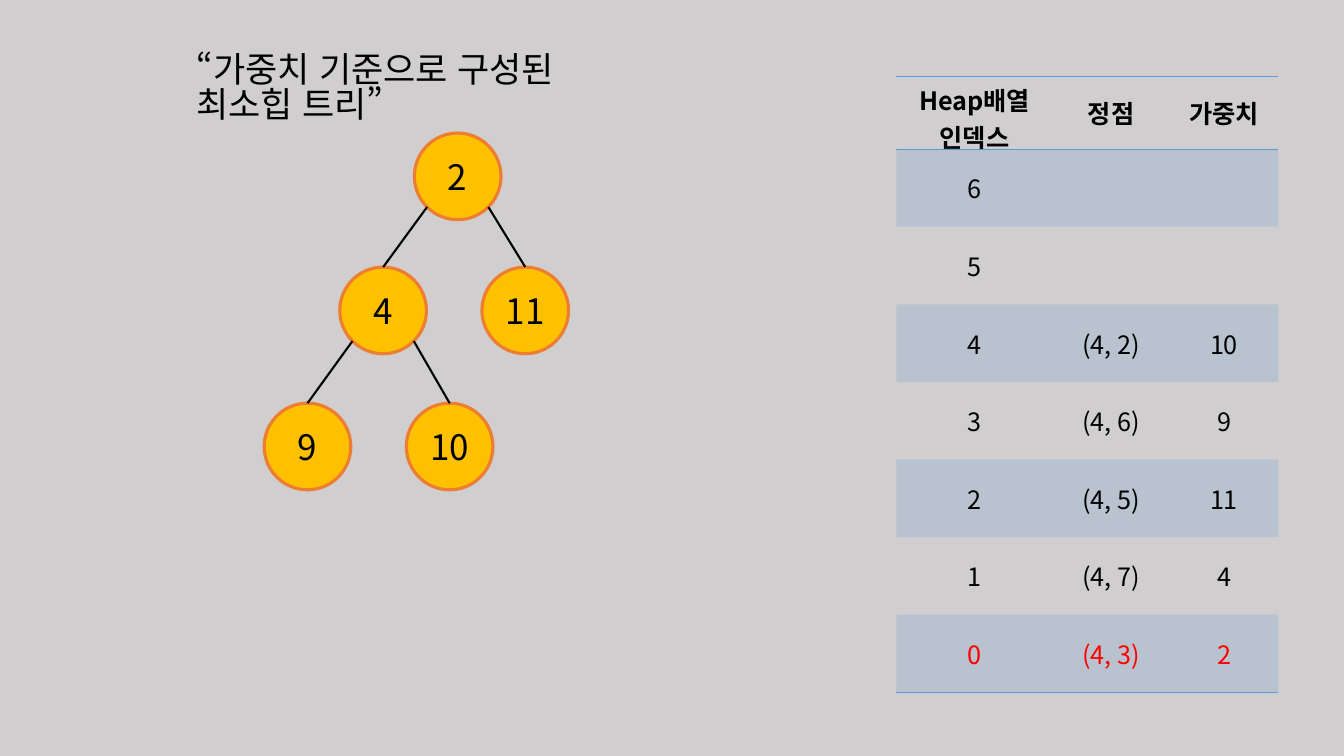
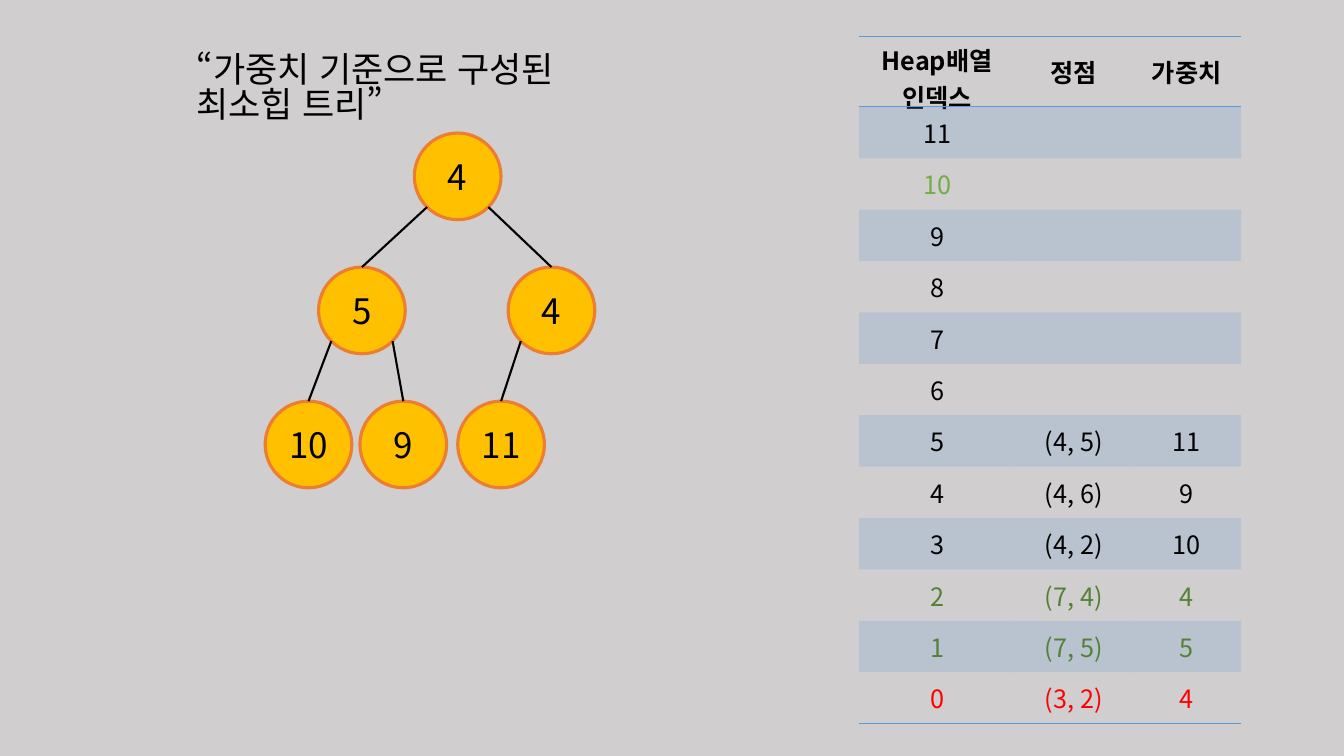
from math import sqrt

from lxml.etree import SubElement
from pptx import Presentation
from pptx.dml.color import RGBColor
from pptx.enum.lang import MSO_LANGUAGE_ID
from pptx.enum.shapes import MSO_CONNECTOR, MSO_SHAPE
from pptx.enum.text import MSO_ANCHOR, PP_ALIGN
from pptx.oxml.ns import qn
from pptx.util import Inches, Pt

# Content
TITLE = "“가중치 기준으로 구성된 최소힙 트리”"
HEADER = ["Heap배열\n인덱스", "정점", "가중치"]
BLACK, RED, GREEN, DARK_GREEN = "000000", "FF0000", "70AD47", "548235"

# Nodes: label, left, top, parent index. Rows: three cells, text colour.
HEAPS = [
    {
        "nodes": [
            ("2", 4.11, 1.32, None),
            ("4", 3.37, 2.65, 0),
            ("11", 4.78, 2.65, 0),
            ("9", 2.62, 4.0, 1),
            ("10", 4.03, 4.0, 1),
        ],
        "table_at": (8.89, 0.76),
        "row_heights": (0.72, 0.77),
        "last_row_filled": True,
        "rows": [
            ("6", "", "", BLACK),
            ("5", "", "", BLACK),
            ("4", "(4, 2)", "10", BLACK),
            ("3", "(4, 6)", "9", BLACK),
            ("2", "(4, 5)", "11", BLACK),
            ("1", "(4, 7)", "4", BLACK),
            ("0", "(4, 3)", "2", RED),
        ],
    },
    {
        "nodes": [
            ("4", 4.11, 1.32, None),
            ("5", 3.16, 2.65, 0),
            ("4", 5.04, 2.65, 0),
            ("10", 2.63, 3.98, 1),
            ("9", 3.57, 3.98, 1),
            ("11", 4.54, 3.98, 2),
        ],
        "table_at": (8.52, 0.36),
        "row_heights": (0.66, 0.51),
        "last_row_filled": False,
        "rows": [
            ("11", "", "", BLACK),
            ("10", "", "", GREEN),
            ("9", "", "", BLACK),
            ("8", "", "", BLACK),
            ("7", "", "", BLACK),
            ("6", "", "", BLACK),
            ("5", "(4, 5)", "11", BLACK),
            ("4", "(4, 6)", "9", BLACK),
            ("3", "(4, 2)", "10", BLACK),
            ("2", "(7, 4)", "4", DARK_GREEN),
            ("1", "(7, 5)", "5", DARK_GREEN),
            ("0", "(3, 2)", "4", RED),
        ],
    },
]

# Shared style
FONT = "Noto Sans CJK KR"
BACKGROUND, ACCENT = "D0CECE", "5B9BD5"
NODE_FILL, NODE_LINE = "FFC000", "ED7D31"
NODE_SIZE = 0.86
COLUMN_WIDTHS = (1.55, 1.16, 1.08)
NO_TABLE_STYLE = "{2D5ABB26-0587-4C30-8999-92F81FD0307C}"


def color(hex_string):
    return RGBColor.from_string(hex_string)


def add_span(para, text, size, hex_string=BLACK, bold=False):
    span = para.add_run()
    span.text = text
    font = span.font
    font.name, font.size, font.bold = FONT, Pt(size), bold
    font.color.rgb = color(hex_string)
    font.language_id = MSO_LANGUAGE_ID.KOREAN
    SubElement(font._element, qn("a:ea"), typeface=FONT)


def add_title(page):
    box = page.shapes.add_textbox(Inches(1.85), Inches(0.49), Inches(4.76), Inches(0.52))
    box.text_frame.word_wrap = True
    para = box.text_frame.paragraphs[0]
    para.line_spacing = 0.83
    add_span(para, TITLE, 25)


def add_node(page, label, left, top):
    node = page.shapes.add_shape(
        MSO_SHAPE.OVAL, Inches(left), Inches(top), Inches(NODE_SIZE), Inches(NODE_SIZE))
    node.shadow.inherit = False
    node.fill.solid()
    node.fill.fore_color.rgb = color(NODE_FILL)
    node.line.color.rgb = color(NODE_LINE)
    node.line.width = Pt(2.25)
    node.text_frame.vertical_anchor = MSO_ANCHOR.MIDDLE
    para = node.text_frame.paragraphs[0]
    para.alignment = PP_ALIGN.CENTER
    add_span(para, label, 25)


def add_edge(page, parent, child):
    """Join the parent's lower diagonal point to the top of the child."""
    radius = NODE_SIZE / 2
    diagonal = radius / sqrt(2)
    side = 1 if child[1] > parent[1] else -1
    start_x = parent[1] + radius + side * diagonal
    start_y = parent[2] + radius + diagonal
    edge = page.shapes.add_connector(
        MSO_CONNECTOR.STRAIGHT, Inches(start_x), Inches(start_y),
        Inches(child[1] + radius), Inches(child[2]))
    edge.line.color.rgb = color(BLACK)
    edge.line.width = Pt(1.5)
    SubElement(edge._element.spPr, qn("a:effectLst"))


def add_tree(page, nodes):
    for node in nodes:
        label, left, top, parent = node
        add_node(page, label, left, top)
        if parent is not None:
            add_edge(page, nodes[parent], node)


def style_cell(cell, filled, borders):
    """Borders come before the fill in the cell properties."""
    properties = cell._tc.get_or_add_tcPr()
    for tag in borders:
        border = SubElement(properties, qn(tag), w=str(Pt(1)))
        line_fill = SubElement(border, qn("a:solidFill"))
        SubElement(line_fill, qn("a:srgbClr"), val=ACCENT)
    if filled:
        cell.fill.solid()
        cell.fill.fore_color.rgb = color(ACCENT)
        tint = properties.find(qn("a:solidFill")).find(qn("a:srgbClr"))
        SubElement(tint, qn("a:alpha"), val="20000")
    else:
        cell.fill.background()


def write_cell(cell, text, hex_string, bold):
    cell.vertical_anchor = MSO_ANCHOR.MIDDLE
    frame = cell.text_frame
    for index, line in enumerate(text.split("\n")):
        para = frame.add_paragraph() if index else frame.paragraphs[0]
        para.alignment = PP_ALIGN.CENTER
        if line:
            add_span(para, line, 18, hex_string, bold)
        else:
            para.font.size = Pt(18)


def add_heap_table(page, heap):
    rows = [(*HEADER, BLACK), *heap["rows"]]
    last = len(rows) - 1
    header_height, row_height = heap["row_heights"]
    left, top = heap["table_at"]
    frame = page.shapes.add_table(
        len(rows), len(HEADER), Inches(left), Inches(top),
        Inches(sum(COLUMN_WIDTHS)), Inches(header_height + last * row_height))
    table = frame.table
    table._tbl.tblPr.find(qn("a:tableStyleId")).text = NO_TABLE_STYLE
    table.horz_banding = False
    for column, width in zip(table.columns, COLUMN_WIDTHS):
        column.width = Inches(width)
    for index, (*texts, hex_string) in enumerate(rows):
        header = index == 0
        table.rows[index].height = Inches(header_height if header else row_height)
        filled = index % 2 == 1 and (index < last or heap["last_row_filled"])
        borders = ["a:lnT", "a:lnB"] if header else ["a:lnB"] if index == last else []
        for column, text in enumerate(texts):
            cell = table.cell(index, column)
            style_cell(cell, filled, borders)
            write_cell(cell, text, hex_string, bold=header)


# Build the deck
deck = Presentation()
deck.slide_width, deck.slide_height = Inches(13.33), Inches(7.5)
for heap in HEAPS:
    page = deck.slides.add_slide(deck.slide_layouts[6])
    page.background.fill.solid()
    page.background.fill.fore_color.rgb = color(BACKGROUND)
    add_title(page)
    add_tree(page, heap["nodes"])
    add_heap_table(page, heap)
deck.save("out.pptx")
